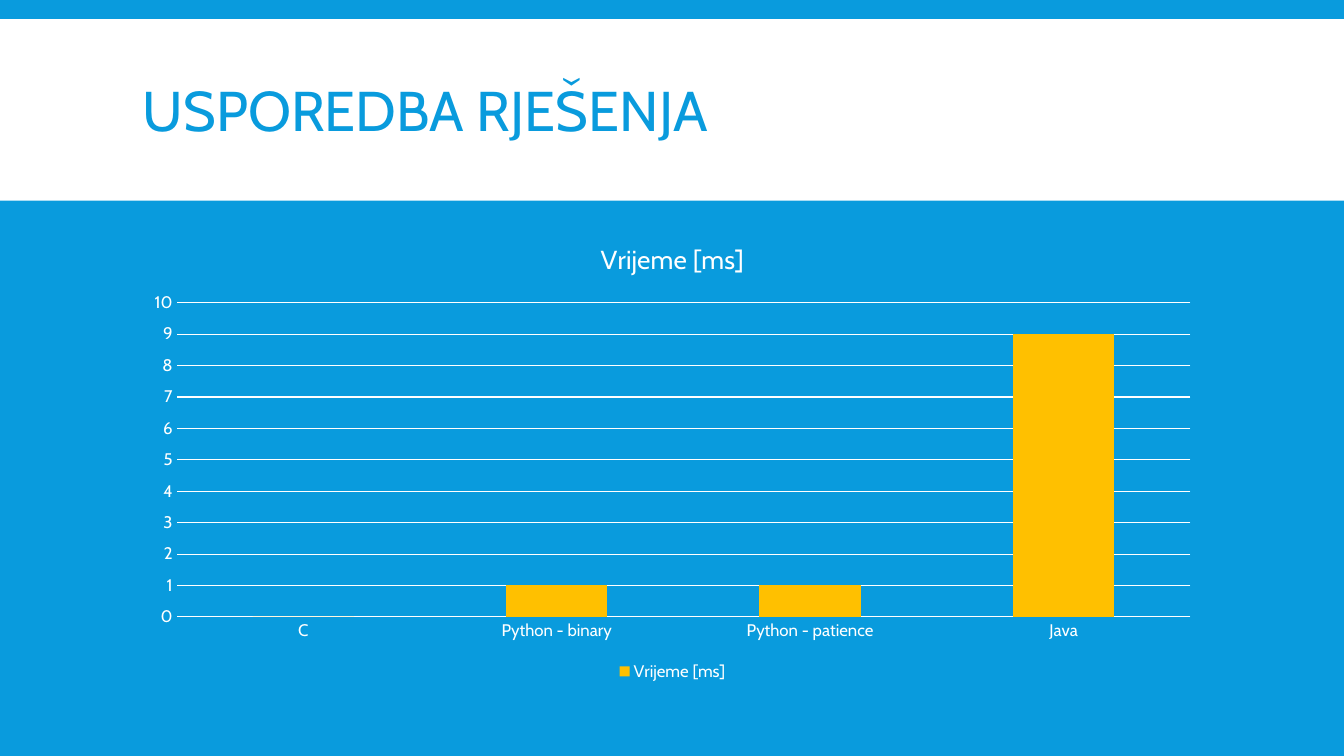
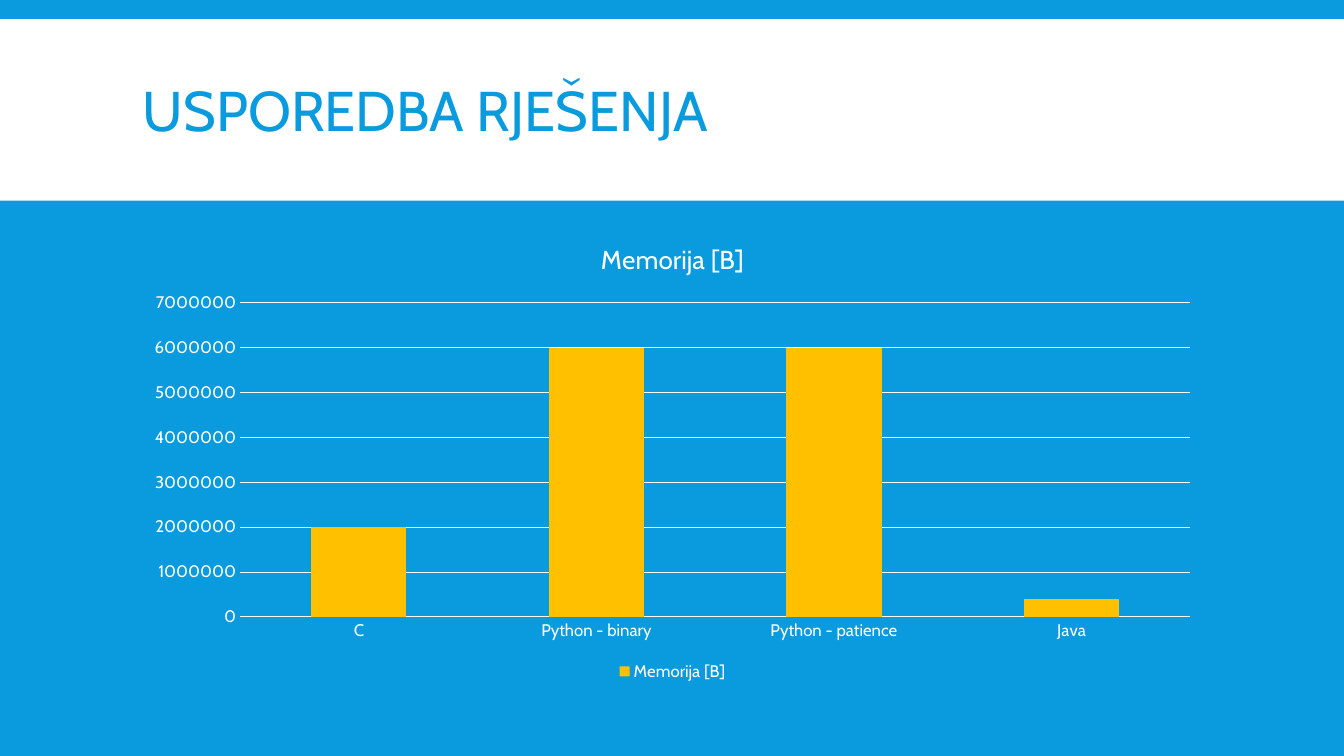
from pptx import Presentation
from pptx.chart.data import CategoryChartData
from pptx.dml.color import RGBColor
from pptx.enum.chart import XL_CHART_TYPE, XL_LEGEND_POSITION, XL_TICK_MARK
from pptx.enum.shapes import MSO_SHAPE
from pptx.enum.text import MSO_ANCHOR
from pptx.util import Inches, Pt

COLUMN = XL_CHART_TYPE.COLUMN_CLUSTERED
BOTTOM = XL_LEGEND_POSITION.BOTTOM
NO_TICK = XL_TICK_MARK.NONE
RECT = MSO_SHAPE.RECTANGLE
MIDDLE = MSO_ANCHOR.MIDDLE

BLUE, WHITE, GOLD = "099BDD", "FFFFFF", "FFC000"
FONT = "Cabin"
SLIDE_W, SLIDE_H = 13.33, 7.5
LEFT, WIDTH = 1.32, 10.7
BLANK = 6

TITLE = "USPOREDBA RJEŠENJA"
SOLUTIONS = ["C", "Python - binary", "Python - patience", "Java"]
MEASURES = [
    ("Vrijeme [ms]", [0, 1, 1, 9]),
    ("Memorija [B]", [2000000, 6000000, 6000000, 400000]),
]


def rgb(code):
    """Turn a hex string into a colour."""
    return RGBColor.from_string(code)


def paint(fill, color):
    """Give a fill one solid colour."""
    fill.solid()
    fill.fore_color.rgb = rgb(color)


def set_font(font, size, color=WHITE):
    """Set typeface, size and colour of a font."""
    font.name = FONT
    font.size = Pt(size)
    font.bold = False
    font.color.rgb = rgb(color)


def write(tf, text, size, color=WHITE, spacing=None):
    """Write one formatted paragraph into a text frame."""
    p = tf.paragraphs[0]
    if spacing:
        p.line_spacing = spacing
    r = p.add_run()
    r.text = text
    set_font(r.font, size, color)


def add_band(s):
    """Draw the white band behind the title."""
    sp = s.shapes.add_shape(RECT, 0, Inches(0.19), Inches(SLIDE_W), Inches(1.8))
    sp.shadow.inherit = False
    paint(sp.fill, WHITE)
    sp.line.fill.background()


def add_title(s, text):
    """Add the slide title, centred vertically in the band."""
    box = s.shapes.add_textbox(Inches(LEFT), Inches(0.31), Inches(WIDTH), Inches(1.65))
    tf = box.text_frame
    tf.word_wrap = True
    tf.vertical_anchor = MIDDLE
    write(tf, text, size=40, color=BLUE, spacing=0.85)


def style_axis(axis):
    """Give an axis white labels, without line or ticks."""
    axis.major_tick_mark = NO_TICK
    axis.minor_tick_mark = NO_TICK
    axis.format.line.fill.background()
    set_font(axis.tick_labels.font, 12)


def add_column_chart(s, name, values):
    """Add a column chart comparing the solutions by one measure."""
    data = CategoryChartData(number_format="General")
    data.categories = SOLUTIONS
    data.add_series(name, values)
    chart = s.shapes.add_chart(
        COLUMN, Inches(LEFT), Inches(2.2), Inches(WIDTH), Inches(4.6), data
    ).chart
    set_font(chart.font, 10)

    chart.has_title = True
    write(chart.chart_title.text_frame, name, size=18.6)
    chart.chart_title.include_in_layout = False
    chart.has_legend = True
    chart.legend.position = BOTTOM
    chart.legend.include_in_layout = False
    set_font(chart.legend.font, 12)

    for axis in (chart.category_axis, chart.value_axis):
        style_axis(axis)
    chart.value_axis.has_major_gridlines = True
    grid = chart.value_axis.major_gridlines.format.line
    grid.width = Pt(0.75)
    paint(grid.fill, WHITE)

    plot = chart.plots[0]
    plot.gap_width = 150
    plot.vary_by_categories = False
    paint(plot.series[0].format.fill, GOLD)


def add_slide(prs, title):
    """Add a slide with the shared background, band and title."""
    s = prs.slides.add_slide(prs.slide_layouts[BLANK])
    paint(s.background.fill, BLUE)
    add_band(s)
    add_title(s, title)
    return s


def main():
    """Build one comparison slide for each measure."""
    prs = Presentation()
    prs.slide_width = Inches(SLIDE_W)
    prs.slide_height = Inches(SLIDE_H)
    for name, values in MEASURES:
        s = add_slide(prs, TITLE)
        add_column_chart(s, name, values)
    prs.save("out.pptx")


main()
